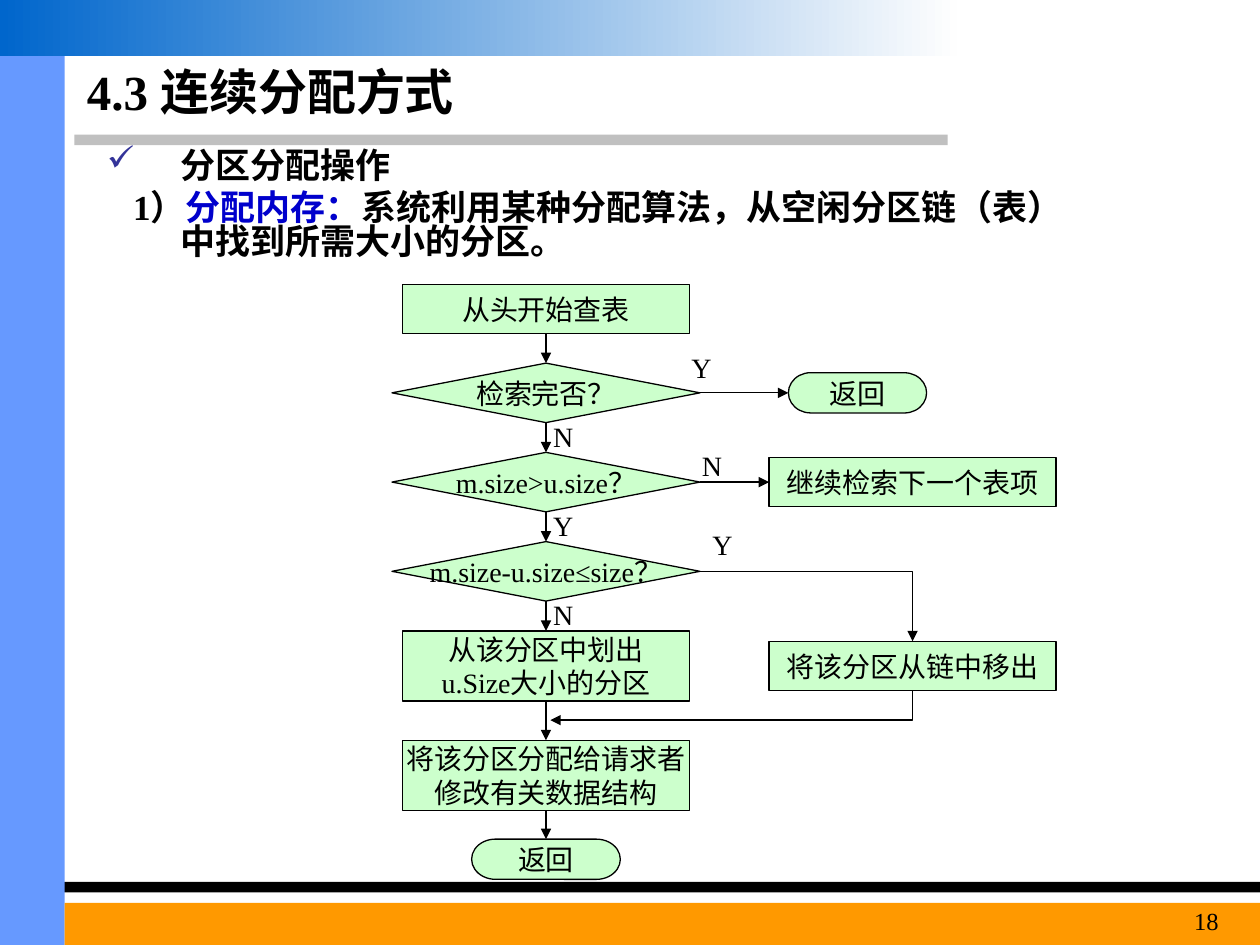
from dataclasses import dataclass

from lxml import etree
from pptx import Presentation
from pptx.dml.color import RGBColor
from pptx.enum import shapes, text
from pptx.oxml import ns
from pptx.util import Pt

TOP, LEFT, BOTTOM, RIGHT = range(4)
SHAPE = shapes.MSO_SHAPE
ALIGN = text.PP_ALIGN


@dataclass(frozen=True)
class Theme:
    font: str = "Times New Roman"
    ink: str = "000000"
    accent: str = "0000CC"
    bullet: str = "333399"
    node: str = "CCFFCC"
    rule: str = "C0C0C0"
    side: str = "6699FF"
    foot: str = "FF9900"
    deep: str = "0066CC"
    pale: str = "FEFEFE"
    title_size: int = 28
    body_size: int = 20
    node_size: int = 16
    number_size: int = 14
    line_width: float = 0.75


def rgb(value):
    return RGBColor.from_string(value)


def add_element(parent, tag, **attributes):
    return etree.SubElement(parent, ns.qn(tag), attributes)


def add_span(para, value, *, font, size, color, bold=False, align=None):
    if align is not None:
        para.alignment = align
    span = para.add_run()
    span.text = value
    span.font.name = font
    span.font.size = Pt(size)
    span.font.bold = bold
    span.font.color.rgb = rgb(color)


class SlideBuilder:
    def __init__(self, page, theme):
        self.page = page
        self.theme = theme

    def span(self, para, value, size, color=None, **style):
        add_span(para, value, font=self.theme.font, size=size,
                 color=color or self.theme.ink, **style)

    def shape(self, kind, left, top, width, height):
        box = self.page.shapes.add_shape(kind, Pt(left), Pt(top), Pt(width), Pt(height))
        box.shadow.inherit = False
        return box

    def band(self, left, top, width, height, color, fade_to=None):
        box = self.shape(SHAPE.RECTANGLE, left, top, width, height)
        box.line.fill.background()
        if fade_to is None:
            box.fill.solid()
            box.fill.fore_color.rgb = rgb(color)
            return
        box.fill.gradient()
        box.fill.gradient_angle = 0
        for stop, value in zip(box.fill.gradient_stops, (color, fade_to)):
            stop.color.rgb = rgb(value)

    def title(self, value, left, top, width, height):
        box = self.page.shapes.title
        box.left, box.top, box.width, box.height = map(Pt, (left, top, width, height))
        frame = box.text_frame
        frame.auto_size = text.MSO_AUTO_SIZE.NONE
        frame.vertical_anchor = text.MSO_ANCHOR.MIDDLE
        self.span(frame.paragraphs[0], value, self.theme.title_size,
                  bold=True, align=ALIGN.LEFT)

    def text_box(self, left, top, width, height):
        box = self.page.shapes.add_textbox(Pt(left), Pt(top), Pt(width), Pt(height))
        box.text_frame.word_wrap = True
        return box.text_frame

    def body_para(self, para, parts, first_indent, bullet=None):
        para.line_spacing = 0.8
        properties = para._p.get_or_add_pPr()
        properties.set("marL", str(Pt(42)))
        properties.set("indent", str(Pt(first_indent)))
        if bullet:
            color = add_element(properties, "a:buClr")
            add_element(color, "a:srgbClr", val=self.theme.bullet)
            add_element(properties, "a:buChar", char=bullet)
        for value, color in parts:
            self.span(para, value, self.theme.body_size, color, bold=True)

    def label(self, value, left, top):
        frame = self.text_box(left, top, 30, 27)
        self.span(frame.paragraphs[0], value, self.theme.node_size)

    def node(self, lines, kind, center_x, center_y, width, height):
        box = self.shape(kind, center_x - width / 2, center_y - height / 2, width, height)
        box.fill.solid()
        box.fill.fore_color.rgb = rgb(self.theme.node)
        box.line.color.rgb = rgb(self.theme.ink)
        box.line.width = Pt(self.theme.line_width)
        frame = box.text_frame
        frame.word_wrap = False
        frame.vertical_anchor = text.MSO_ANCHOR.MIDDLE
        for index, value in enumerate(lines):
            para = frame.add_paragraph() if index else frame.paragraphs[0]
            self.span(para, value, self.theme.node_size, align=ALIGN.CENTER)
        return box

    def finish_arrow(self, connector):
        connector.line.color.rgb = rgb(self.theme.ink)
        connector.line.width = Pt(self.theme.line_width)
        properties = connector._element.spPr
        add_element(properties.find(ns.qn("a:ln")), "a:tailEnd", type="triangle")
        add_element(properties, "a:effectLst")

    def arrow(self, source, source_side, target, target_side):
        connector = self.page.shapes.add_connector(shapes.MSO_CONNECTOR.STRAIGHT, 0, 0, 0, 0)
        connector.begin_connect(source, source_side)
        connector.end_connect(target, target_side)
        self.finish_arrow(connector)

    def elbow(self, start, end, down_then_left=False):
        (x1, y1), (x2, y2) = start, end
        if down_then_left:
            middle_x, middle_y = (x1 + x2) / 2, (y1 + y2) / 2
            half_width, half_height = abs(y2 - y1) / 2, abs(x2 - x1) / 2
            x1, x2 = middle_x - half_width, middle_x + half_width
            y1, y2 = middle_y - half_height, middle_y + half_height
        connector = self.page.shapes.add_connector(
            shapes.MSO_CONNECTOR.ELBOW, Pt(x1), Pt(y1), Pt(x2), Pt(y2))
        properties = connector._element.spPr
        properties.find(ns.qn("a:prstGeom")).set("prst", "bentConnector2")
        if down_then_left:
            properties.find(ns.qn("a:xfrm")).set("rot", str(90 * 60000))
        self.finish_arrow(connector)


def add_flowchart(builder):
    main_x, side_x, return_x = 312, 521.5, 490
    first_y, pitch = 224.5, 51
    rows = [first_y + pitch * index for index in range(3)]
    removal_y, merge_y = 380.5, 411.5
    process, decision, terminator = (
        SHAPE.FLOWCHART_PROCESS, SHAPE.FLOWCHART_DECISION, SHAPE.FLOWCHART_TERMINATOR)

    start = builder.node(["从头开始查表"], process, main_x, 176.5, 164, 28)
    questions = ["检索完否？", "m.size>u.size？", "m.size-u.size≤size？"]
    checks = [builder.node([value], decision, main_x, y, 176, 34)
              for value, y in zip(questions, rows)]
    split = builder.node(["从该分区中划出", "u.Size大小的分区"], process, main_x, 380.5, 164, 40)
    assign = builder.node(["将该分区分配给请求者", "修改有关数据结构"],
                          process, main_x, 443, 164, 40)
    finish = builder.node(["返回"], terminator, main_x, 491, 85, 23)
    early_return = builder.node(["返回"], terminator, return_x, rows[0], 79, 23)
    next_entry = builder.node(["继续检索下一个表项"], process, side_x, rows[1], 164, 28)
    builder.node(["将该分区从链中移出"], process, side_x, removal_y, 164, 28)

    column = [start, *checks, split, assign, finish]
    for source, target in zip(column, column[1:]):
        builder.arrow(source, BOTTOM, target, TOP)
    for source, target in zip(checks, (early_return, next_entry)):
        builder.arrow(source, RIGHT, target, LEFT)
    builder.elbow((main_x + 88, rows[2]), (side_x, removal_y - 14))
    builder.elbow((side_x, removal_y + 14), (main_x + 2.5, merge_y), down_then_left=True)

    for index, value in enumerate("NYN"):
        builder.label(value, 309, 236 + pitch * index)
    for value, left, top in (("Y", 388, 196.5), ("N", 394, 253), ("Y", 400, 298)):
        builder.label(value, left, top)


def main():
    deck = Presentation()
    deck.slide_width, deck.slide_height = Pt(720), Pt(540)
    theme = Theme()
    builder = SlideBuilder(deck.slides.add_slide(deck.slide_layouts[5]), theme)

    builder.band(42.5, 77, 499, 6, theme.rule)
    builder.band(0, 504, 720, 6, theme.ink)
    builder.band(0, 32, 37, 508, theme.side)
    builder.band(37, 516, 683, 24, theme.foot)
    builder.band(0, 0, 547, 32, theme.deep, fade_to=theme.pale)

    builder.title("4.3 连续分配方式", 42.5, 32, 493, 39.5)
    frame = builder.text_box(54, 83, 567, 73)
    builder.body_para(frame.paragraphs[0], [("分区分配操作", theme.ink)], -42, bullet="✓")
    step = frame.add_paragraph()
    step.space_before = Pt(5)
    builder.body_para(step, [
        ("1）", theme.ink),
        ("分配内存：", theme.accent),
        ("系统利用某种分配算法，从空闲分区链（表）中找到所需大小的分区。", theme.ink),
    ], -27)

    add_flowchart(builder)
    number = builder.text_box(638, 514, 65.5, 26)
    builder.span(number.paragraphs[0], "18", theme.number_size, align=ALIGN.RIGHT)
    deck.save("out.pptx")


if __name__ == "__main__":
    main()
